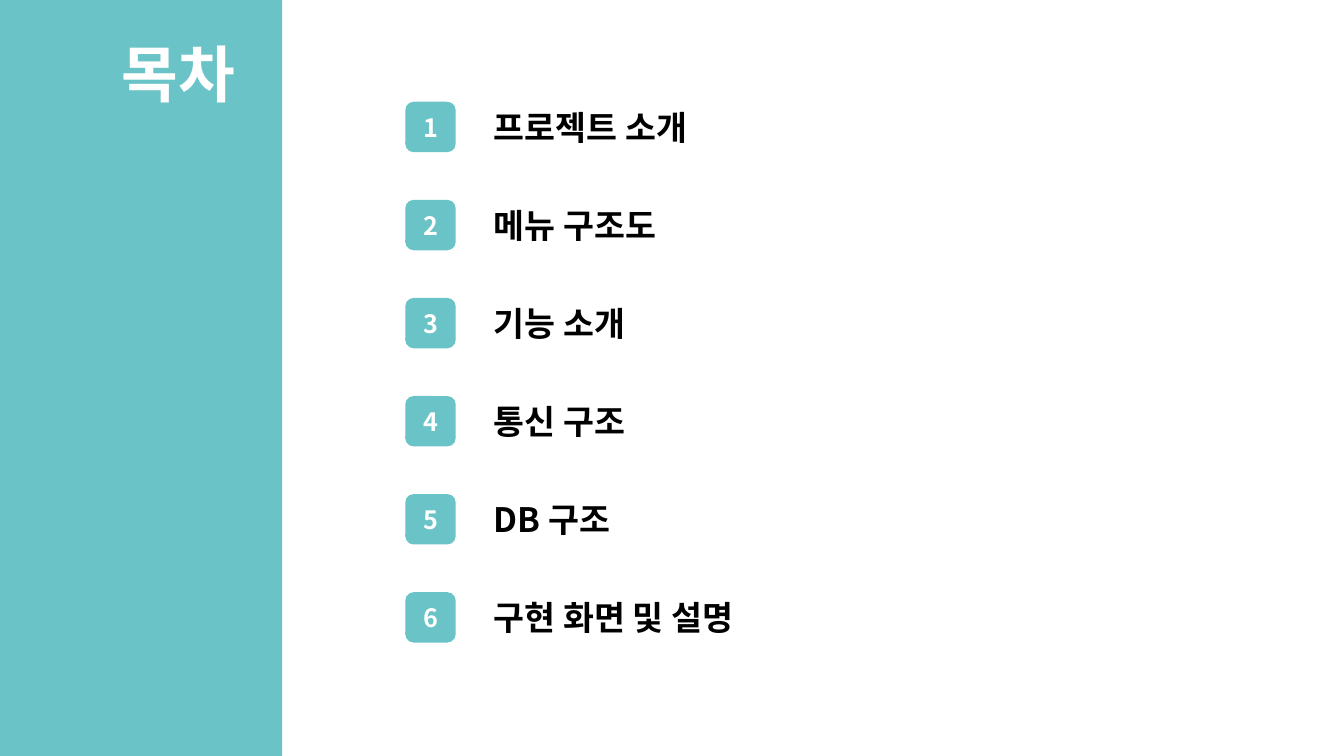
from dataclasses import dataclass

from lxml.etree import SubElement
from pptx import Presentation
from pptx.dml.color import RGBColor
from pptx.enum.shapes import MSO_SHAPE
from pptx.enum.text import MSO_ANCHOR, MSO_AUTO_SIZE, PP_ALIGN
from pptx.oxml.ns import qn
from pptx.shapes.autoshape import Shape
from pptx.shapes.shapetree import GroupShapes, SlideShapes
from pptx.text.text import TextFrame
from pptx.util import Inches, Pt


@dataclass(frozen=True)
class Theme:
    """Colours, font and type sizes of the slide."""
    teal: RGBColor = RGBColor(0x6A, 0xC3, 0xC6)
    white: RGBColor = RGBColor(0xFF, 0xFF, 0xFF)
    black: RGBColor = RGBColor(0, 0, 0)
    font: str = "Noto Sans CJK KR"
    title: int = 44
    entry: int = 24
    number: int = 18


@dataclass(frozen=True)
class Entry:
    """One line of the contents, with the width of its label in inches."""
    label: str
    width: float


THEME = Theme()
ENTRIES = [
    Entry("프로젝트 소개", 2.34),
    Entry("메뉴 구조도", 2),
    Entry("기능 소개", 1.67),
    Entry("통신 구조", 1.67),
    Entry("DB 구조", 1.46),
    Entry("구현 화면 및 설명", 2.92),
]
BADGE_LEFT, LABEL_LEFT = 4.02, 4.8
FIRST_TOP, PITCH, ROW_HEIGHT = 1.01, 0.973, 0.5


def add_run(tf: TextFrame, text: str, size: int, color: RGBColor) -> None:
    """Add a bold run to the first paragraph, in the theme font for both scripts."""
    r = tf.paragraphs[0].add_run()
    r.text = text
    r.font.name = THEME.font
    r.font.size = Pt(size)
    r.font.bold = True
    r.font.color.rgb = color
    SubElement(r.font._element, qn("a:ea"), typeface=THEME.font)


def add_block(shapes: SlideShapes | GroupShapes, kind: MSO_SHAPE, left: float,
              top: float, width: float, height: float) -> Shape:
    """Add a flat teal shape without outline or shadow."""
    sp = shapes.add_shape(kind, Inches(left), Inches(top), Inches(width), Inches(height))
    sp.shadow.inherit = False
    sp.fill.solid()
    sp.fill.fore_color.rgb = THEME.teal
    sp.line.fill.background()
    return sp


def add_label(shapes: SlideShapes | GroupShapes, text: str, left: float, top: float,
              width: float, height: float, size: int, color: RGBColor) -> None:
    """Add a single-line text box that fits its text."""
    tf = shapes.add_textbox(Inches(left), Inches(top), Inches(width), Inches(height)).text_frame
    tf.word_wrap = False
    tf.auto_size = MSO_AUTO_SIZE.SHAPE_TO_FIT_TEXT
    add_run(tf, text, size, color)


def add_entry(shapes: SlideShapes, number: int, entry: Entry) -> None:
    """Group a numbered badge with its label."""
    top = FIRST_TOP + (number - 1) * PITCH
    row = shapes.add_group_shape().shapes
    badge = add_block(row, MSO_SHAPE.ROUNDED_RECTANGLE, BADGE_LEFT, top, ROW_HEIGHT, ROW_HEIGHT)
    tf = badge.text_frame
    tf.vertical_anchor = MSO_ANCHOR.MIDDLE
    tf.paragraphs[0].alignment = PP_ALIGN.CENTER
    add_run(tf, str(number), THEME.number, THEME.white)
    add_label(row, entry.label, LABEL_LEFT, top, entry.width, ROW_HEIGHT,
              THEME.entry, THEME.black)


def main() -> None:
    """Build and save the contents slide."""
    prs = Presentation()
    prs.slide_width, prs.slide_height = Inches(13.33), Inches(7.5)
    s = prs.slides.add_slide(prs.slide_layouts[6])
    add_block(s.shapes, MSO_SHAPE.RECTANGLE, 0, 0, 2.8, 7.5)
    add_label(s.shapes, "목차", 1.11, 0.31, 1.44, 0.84, THEME.title, THEME.white)
    for number, entry in enumerate(ENTRIES, 1):
        add_entry(s.shapes, number, entry)
    prs.save("out.pptx")


main()
